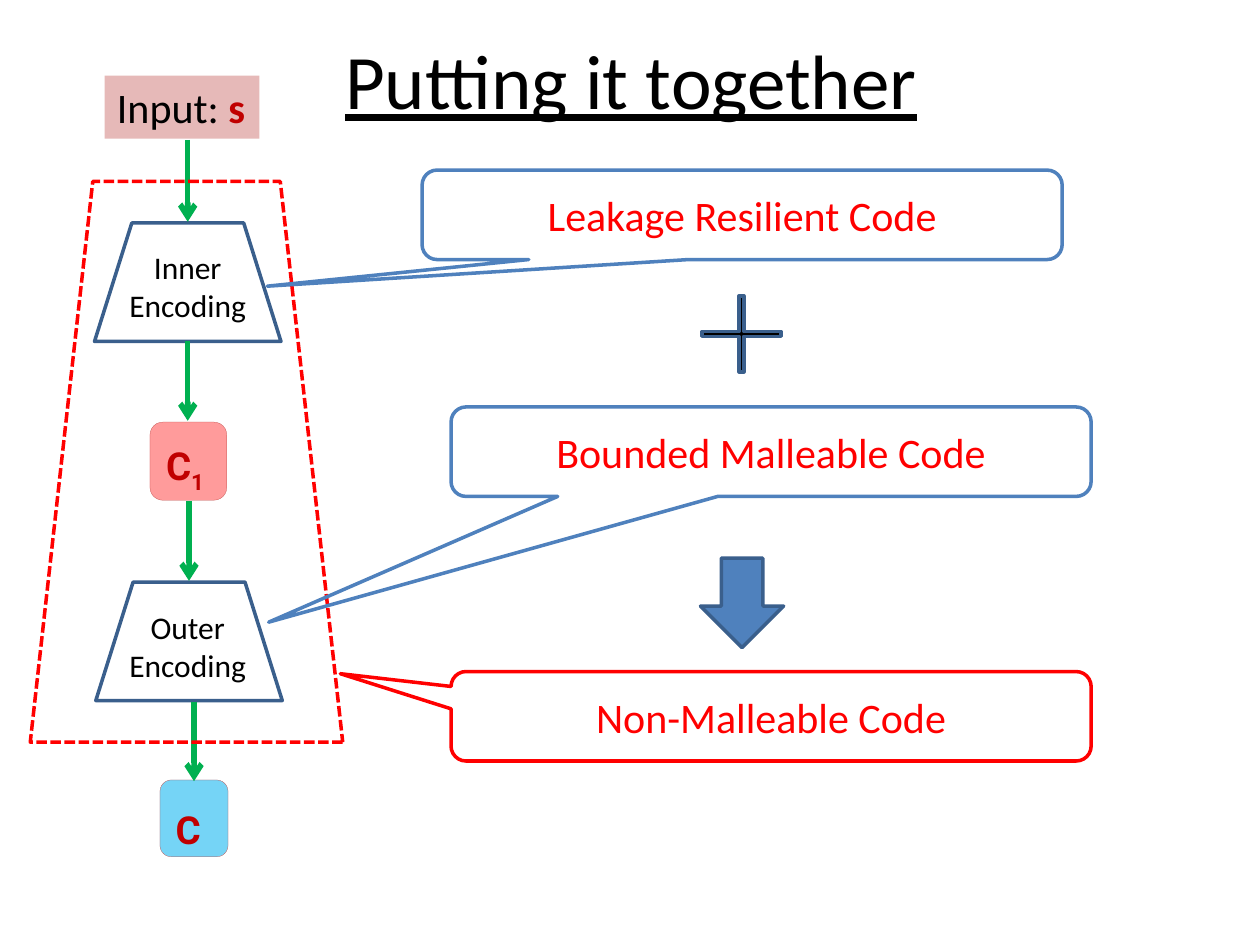
from lxml import etree
from pptx import Presentation
from pptx import util as u
from pptx.dml.color import RGBColor
from pptx.enum import dml, shapes, text
from pptx.oxml import ns

THEME = {
    "black": "000000", "dark_red": "C00000", "red": "FF0000", "green": "00B050",
    "blue": "4F81BD", "navy": "3A5F8C", "brick": "C0504D",
    "rose": "E6B9B8", "coral": "FF6161", "sky": "00B0F0",
    "title": 44, "body": 24, "code": 22, "label": 18,
    "font": "Calibri", "code_font": "Roboto",
}
MSO = shapes.MSO_SHAPE
TRAPEZOID = MSO.FLOWCHART_MANUAL_OPERATION


def add_shape(parent, kind, box, fill=None, line=None, width=2, alpha=None):
    """Add a preset shape; box is left, top, width, height in inches."""
    sp = parent.add_shape(kind, *map(u.Inches, box))
    sp.shadow.inherit = False
    if fill:
        sp.fill.solid()
        sp.fill.fore_color.rgb = RGBColor.from_string(THEME[fill])
        if alpha:
            color = sp.fill._xPr.find(".//" + ns.qn("a:srgbClr"))
            etree.SubElement(color, ns.qn("a:alpha")).set("val", str(alpha * 1000))
    else:
        sp.fill.background()
    if line:
        sp.line.color.rgb = RGBColor.from_string(THEME[line])
        sp.line.width = u.Pt(width)
    else:
        sp.line.fill.background()
    return sp


def write(sp, lines, size, align="CENTER", anchor="TOP", wrap=True, spacing=None):
    """Fill a shape with lines; each line is a list of (text, colour, font format)."""
    tf = sp.text_frame
    tf.word_wrap = wrap
    tf.vertical_anchor = text.MSO_ANCHOR[anchor]
    for i, runs in enumerate(lines):
        p = tf.paragraphs[0] if i == 0 else tf.add_paragraph()
        p.alignment = text.PP_ALIGN[align]
        p.line_spacing = spacing
        for words, color, extra in runs:
            r = p.add_run()
            r.text = words
            r.font.color.rgb = RGBColor.from_string(THEME[color])
            values = {"name": THEME["font"], "size": u.Pt(THEME[size]), **extra}
            for name, value in values.items():
                setattr(r.font, name, value)


prs = Presentation()
prs.slide_width, prs.slide_height = u.Inches(10), u.Inches(7.5)
s = prs.slides.add_slide(prs.slide_layouts[6])

# Title
title = s.shapes.add_textbox(*map(u.Inches, (0.51, 0, 9, 1.25)))
write(title, [[("Putting it together", "black", {"underline": True})]],
      "title", anchor="MIDDLE")

# Encoding pipeline: input
flow = s.shapes.add_group_shape().shapes
sp = add_shape(flow, MSO.RECTANGLE, (0.83, 0.6, 1.23, 0.5), "rose")
write(sp, [[("Input: ", "black", {}), ("s", "dark_red", {"bold": True})]],
      "body", align="LEFT", wrap=False)

# Encoding pipeline: the two encoders
for left, top, label_top, lines in [
    (0.75, 1.77, 1.92, ["Inner Encoding"]),
    (0.76, 4.62, 4.78, ["Outer", "Encoding"]),
]:
    sp = add_shape(flow, TRAPEZOID, (left, top, 1.48, 0.94), line="navy")
    sp.rotation = 180
    label = flow.add_textbox(*map(u.Inches, (0.82, label_top, 1.34, 0.71)))
    write(label, [[(words, "black", {})] for words in lines], "label")

# Encoding pipeline: codewords
for box, fill, alpha, subscript in [
    ((1.19, 3.35, 0.61, 0.62), "coral", 63, "1"),
    ((1.27, 6.19, 0.54, 0.61), "sky", 54, None),
]:
    sp = add_shape(flow, MSO.ROUNDED_RECTANGLE, box, fill, "brick", 0.14, alpha)
    code = {"name": THEME["code_font"], "bold": True}
    runs = [("C", "dark_red", code)]
    if subscript:
        runs.append((subscript, "dark_red", code))
    write(sp, [runs], "code", align="LEFT", spacing=u.Pt(36))
    for r in sp.text_frame.paragraphs[0].runs[1:]:
        r.font._element.set("baseline", "-25000")

# Encoding pipeline: arrows between the steps
for x, top, bottom in [(1.49, 1.11, 1.76), (1.49, 2.71, 3.34),
                       (1.5, 3.98, 4.61), (1.54, 5.57, 6.2)]:
    arrow = flow.add_connector(shapes.MSO_CONNECTOR.STRAIGHT,
                               *map(u.Inches, (x, top, x, bottom)))
    arrow.line.color.rgb = RGBColor.from_string(THEME["green"])
    arrow.line.width = u.Pt(3.14)
    etree.SubElement(arrow.line._get_or_add_ln(), ns.qn("a:tailEnd")).set("type", "arrow")
    etree.SubElement(arrow._element.spPr, ns.qn("a:effectLst"))

# Dashed outline around the whole code
sp = add_shape(s.shapes, TRAPEZOID, (0.24, 1.44, 2.48, 4.45), line="red")
sp.rotation = 180
sp.line.dash_style = dml.MSO_LINE.SQUARE_DOT

# Callouts naming each code
for left, top, line, words, tip in [
    (3.58, 3.23, "blue", "Bounded Malleable Code", (-0.785, 1.906)),
    (3.35, 1.35, "blue", "Leakage Resilient Code", (-0.742, 0.798)),
    (3.58, 5.33, "red", "Non-Malleable Code", (-0.673, -0.476)),
]:
    sp = add_shape(s.shapes, MSO.ROUNDED_RECTANGULAR_CALLOUT,
                   (left, top, 5.08, 0.71), line=line)
    sp.adjustments[0], sp.adjustments[1] = tip
    write(sp, [[(words, "red", {})]], "body", anchor="MIDDLE")

# Plus sign and result arrow
plus = add_shape(s.shapes, MSO.MATH_PLUS, (5.46, 2.24, 0.85, 0.82), "black", "navy")
plus.adjustments[0] = 0.046
add_shape(s.shapes, MSO.DOWN_ARROW, (5.56, 4.43, 0.66, 0.71), "blue", "navy")

prs.save("out.pptx")
